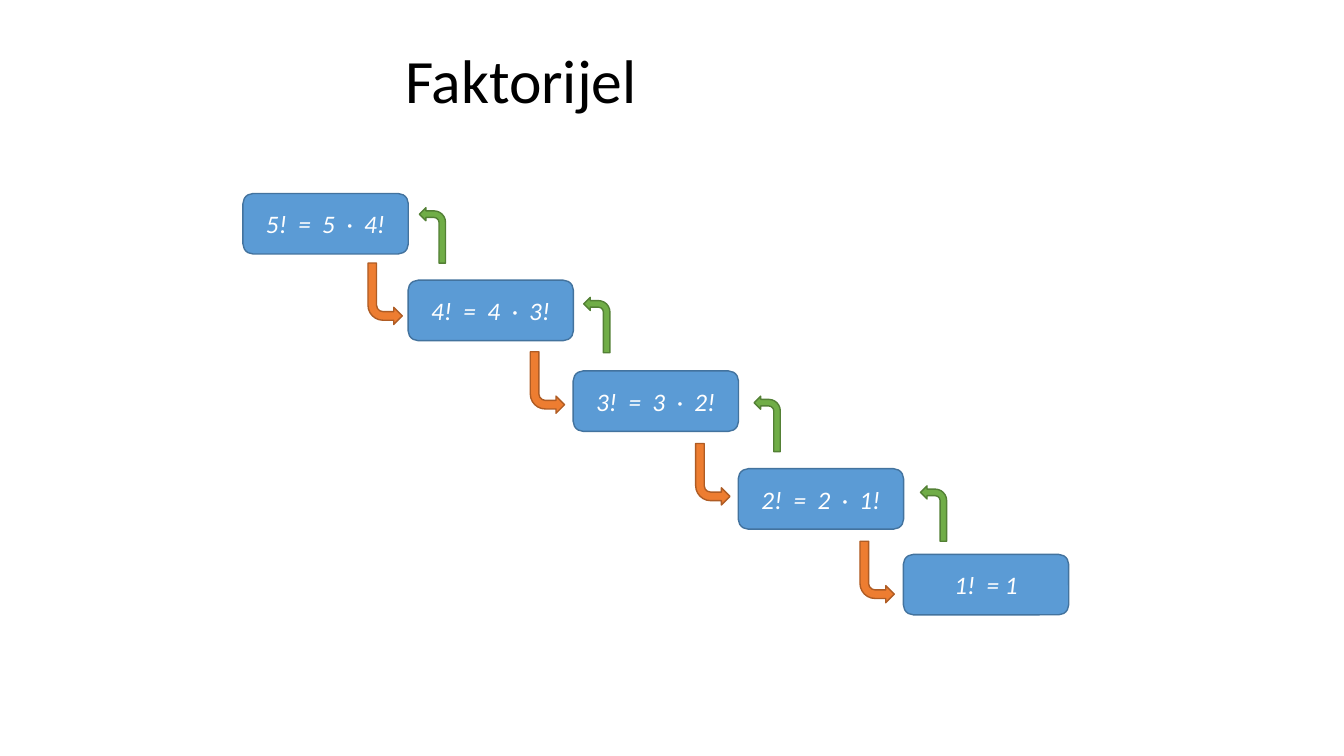
from pptx import Presentation
from pptx.dml.color import RGBColor
from pptx.enum.shapes import MSO_SHAPE
from pptx.enum.text import MSO_ANCHOR, PP_ALIGN
from pptx.util import Inches, Pt

TITLE = "Faktorijel"
STEPS = [
    ("5!  =  5  ·  4!", 1.92),
    ("4!  =  4  ·  3!", 2.78),
    ("3!  =  3  ·  2!", 3.68),
    ("2!  =  2  ·  1!", 4.65),
    ("1!  = 1", 5.5),
]
CALL_ARROWS = [(3.65, 2.61), (5.26, 3.49), (6.9, 4.4), (8.53, 5.37)]
RETURN_ARROWS = [(4.16, 2.06), (5.79, 2.95), (7.48, 3.93), (9.13, 4.82)]
COLORS = {
    "title": "000000",
    "step": "5B9BD5",
    "step_line": "43739E",
    "step_text": "FFFFFF",
    "call": "ED7D31",
    "call_line": "AF5C24",
    "return": "70AD47",
    "return_line": "538035",
}
FIRST_LEFT, LAST_LEFT = 2.41, 8.96
STEP_SIZE = (1.64, 0.6)
CALL_SIZE = (0.34, 0.61)
RETURN_SIZE = (0.26, 0.55)


def color(name):
    return RGBColor.from_string(COLORS[name])


def write(box, text, size, color_name, align=PP_ALIGN.LEFT, italic=False, spacing=1.0):
    frame = box.text_frame
    frame.word_wrap = True
    frame.vertical_anchor = MSO_ANCHOR.MIDDLE
    para = frame.paragraphs[0]
    para.alignment = align
    para.line_spacing = spacing
    span = para.add_run()
    span.text = text
    span.font.name = "Calibri"
    span.font.size = Pt(size)
    span.font.italic = italic
    span.font.color.rgb = color(color_name)


def add_figure(page, kind, position, size, color_name):
    shape = page.shapes.add_shape(kind, *map(Inches, position + size))
    shape.shadow.inherit = False
    shape.fill.solid()
    shape.fill.fore_color.rgb = color(color_name)
    shape.line.color.rgb = color(color_name + "_line")
    shape.line.width = Pt(1)
    return shape


def add_arrows(page, positions, size, color_name, flip):
    for position in positions:
        arrow = add_figure(page, MSO_SHAPE.BENT_ARROW, position, size, color_name)
        arrow.element.spPr.xfrm.set(flip, "1")


def main():
    deck = Presentation()
    deck.slide_width, deck.slide_height = Inches(13.33), Inches(7.5)
    page = deck.slides.add_slide(deck.slide_layouts[6])

    title = page.shapes.add_textbox(Inches(3.92), Inches(0.4), Inches(8.5), Inches(0.86))
    write(title, TITLE, 44, "title", spacing=0.9)

    stride = (LAST_LEFT - FIRST_LEFT) / (len(STEPS) - 1)
    for index, (text, top) in enumerate(STEPS):
        position = (FIRST_LEFT + index * stride, top)
        box = add_figure(page, MSO_SHAPE.ROUNDED_RECTANGLE, position, STEP_SIZE, "step")
        write(box, text, 18, "step_text", align=PP_ALIGN.CENTER, italic=True)

    add_arrows(page, CALL_ARROWS, CALL_SIZE, "call", "flipV")
    add_arrows(page, RETURN_ARROWS, RETURN_SIZE, "return", "flipH")
    deck.save("out.pptx")


if __name__ == "__main__":
    main()
